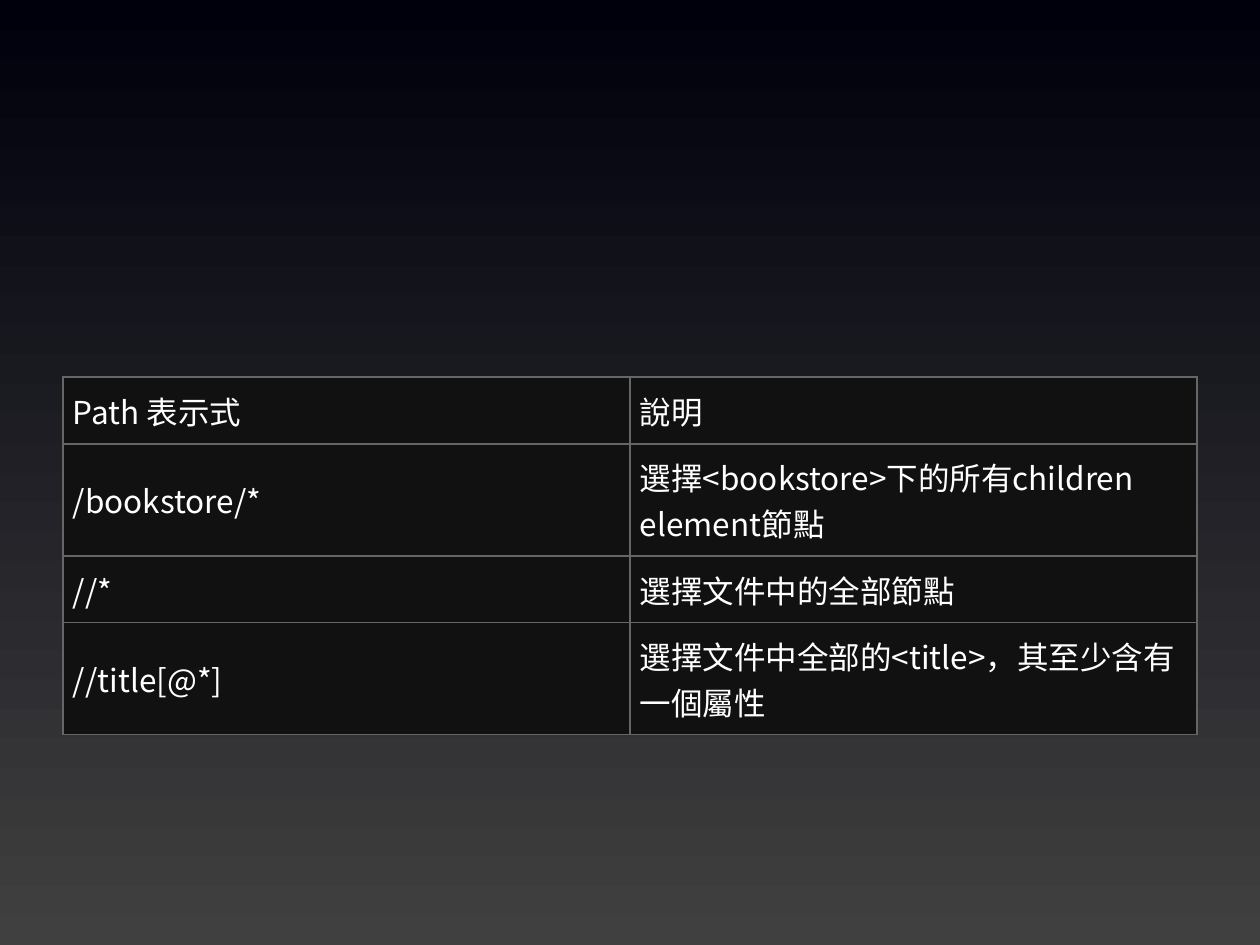
from dataclasses import dataclass

import lxml.etree
import pptx
import pptx.dml.color
import pptx.enum.text
import pptx.oxml.ns
import pptx.table
import pptx.util

EMU_PER_PIXEL = 914400 / 126
FONT_NAME = "Noto Sans CJK SC"
WHITE = pptx.dml.color.RGBColor(0xFF, 0xFF, 0xFF)
CELL_FILL = pptx.dml.color.RGBColor(0x11, 0x11, 0x11)
BORDER = pptx.dml.color.RGBColor(0x66, 0x66, 0x66)
BACKGROUND_BOTTOM = pptx.dml.color.RGBColor(0x40, 0x40, 0x40)
BACKGROUND_TOP = pptx.dml.color.RGBColor(0x00, 0x00, 0x0C)

TABLE_LEFT, TABLE_TOP = 63, 377
COLUMN_WIDTH = 567
CELL_MARGIN = 10


@dataclass(frozen=True)
class ExpressionRow:
    expression: str
    description: str
    height: int


ROWS = [
    ExpressionRow("Path 表示式", "說明", 67),
    ExpressionRow("/bookstore/*", "選擇<bookstore>下的所有children element節點", 112),
    ExpressionRow("//*", "選擇文件中的全部節點", 67),
    ExpressionRow("//title[@*]", "選擇文件中全部的<title>，其至少含有一個屬性", 112),
]


def pixels(length: int) -> pptx.util.Emu:
    return pptx.util.Emu(round(length * EMU_PER_PIXEL))


def add_element(parent, tag: str, **attributes: str):
    return lxml.etree.SubElement(parent, pptx.oxml.ns.qn(tag), attributes)


def draw_borders(cell: pptx.table._Cell) -> None:
    properties = cell._tc.get_or_add_tcPr()
    for side in ("a:lnL", "a:lnR", "a:lnT", "a:lnB"):
        line = add_element(properties, side, w=str(pptx.util.Pt(0.75)))
        add_element(add_element(line, "a:solidFill"), "a:srgbClr", val=str(BORDER))


def draw_cell(cell: pptx.table._Cell, text: str) -> None:
    draw_borders(cell)
    cell.fill.solid()
    cell.fill.fore_color.rgb = CELL_FILL
    cell.vertical_anchor = pptx.enum.text.MSO_ANCHOR.MIDDLE
    cell.margin_left = cell.margin_right = pixels(CELL_MARGIN)
    cell.margin_top = cell.margin_bottom = pixels(CELL_MARGIN)
    cell.text = text
    font = cell.text_frame.paragraphs[0].font
    font.name = FONT_NAME
    font.size = pptx.util.Pt(18)
    font.color.rgb = WHITE
    add_element(font._element, "a:ea", typeface=FONT_NAME)


def draw_table(slide: pptx.slide.Slide, rows: list[ExpressionRow]) -> None:
    shape = slide.shapes.add_table(
        len(rows), 2, pixels(TABLE_LEFT), pixels(TABLE_TOP),
        pixels(2 * COLUMN_WIDTH), pixels(sum(row.height for row in rows)),
    )
    table = shape.table
    table.first_row = False
    table.horz_banding = False
    for index, row in enumerate(rows):
        table.rows[index].height = pixels(row.height)
        draw_cell(table.cell(index, 0), row.expression)
        draw_cell(table.cell(index, 1), row.description)


def draw_background(slide: pptx.slide.Slide) -> None:
    fill = slide.background.fill
    fill.gradient()
    fill.gradient_angle = 90
    for stop, color in zip(fill.gradient_stops, (BACKGROUND_BOTTOM, BACKGROUND_TOP)):
        stop.color.rgb = color


presentation = pptx.Presentation()
presentation.slide_width = pixels(1260)
presentation.slide_height = pixels(945)
slide = presentation.slides.add_slide(presentation.slide_layouts[6])
draw_background(slide)
draw_table(slide, ROWS)
presentation.save("out.pptx")
